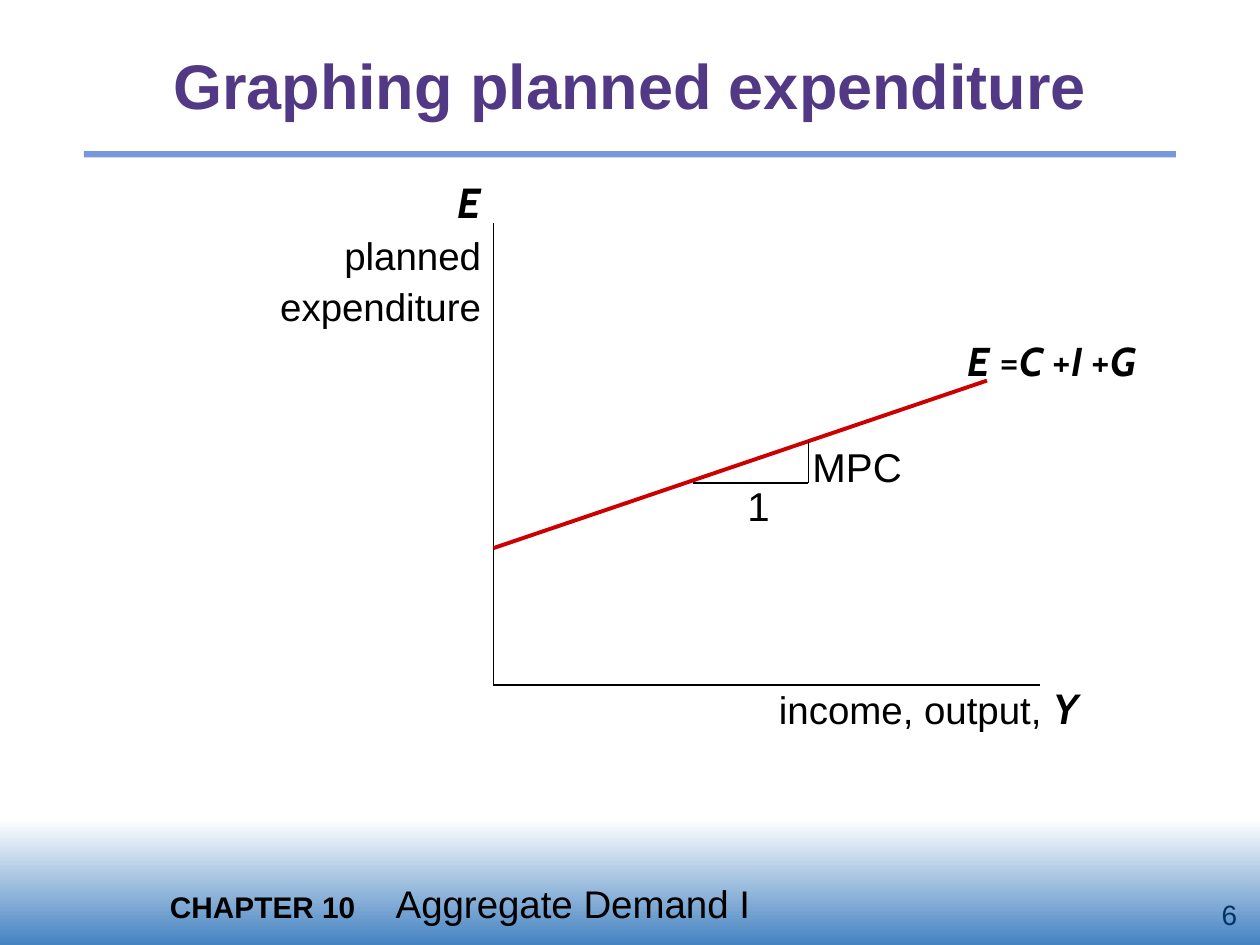
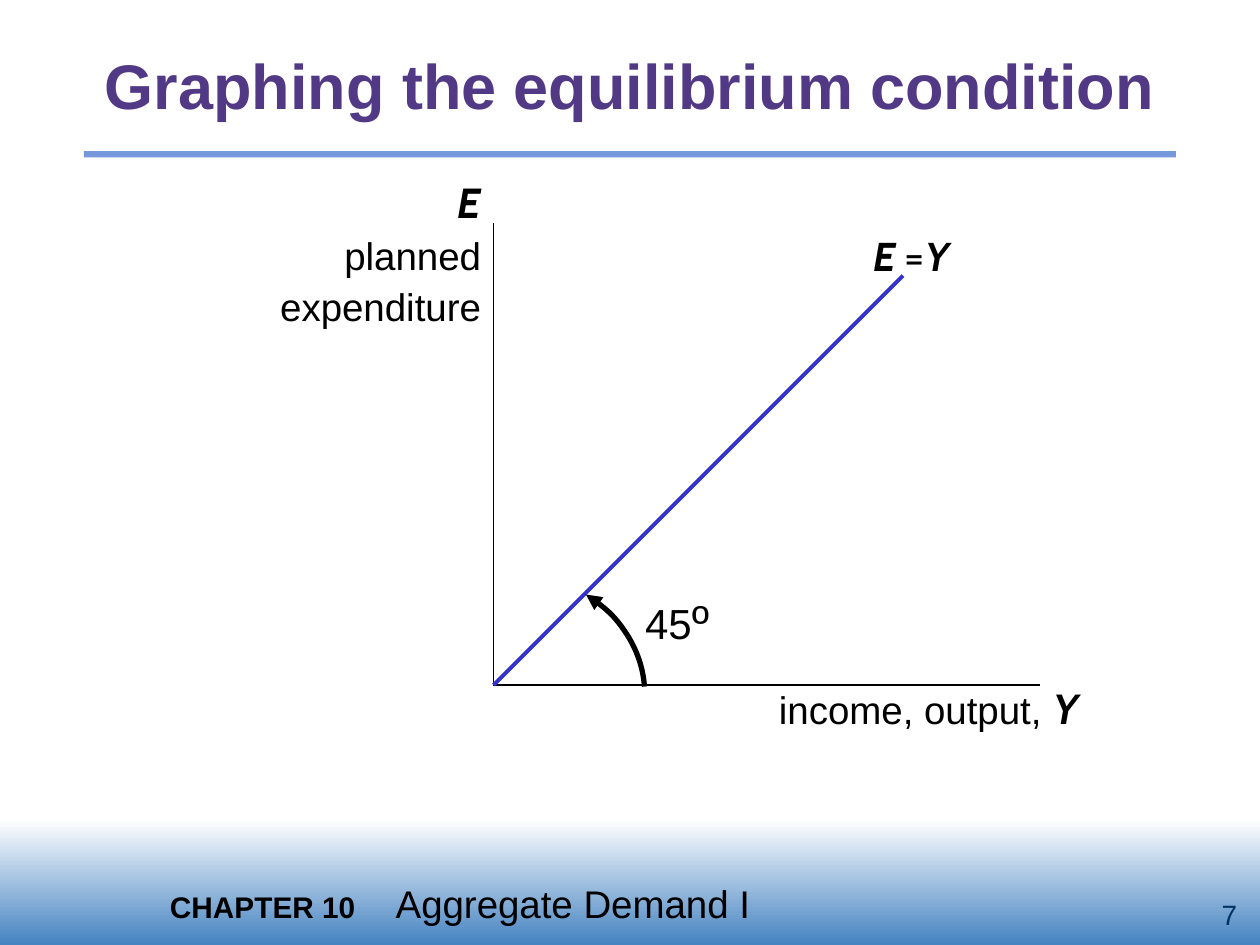
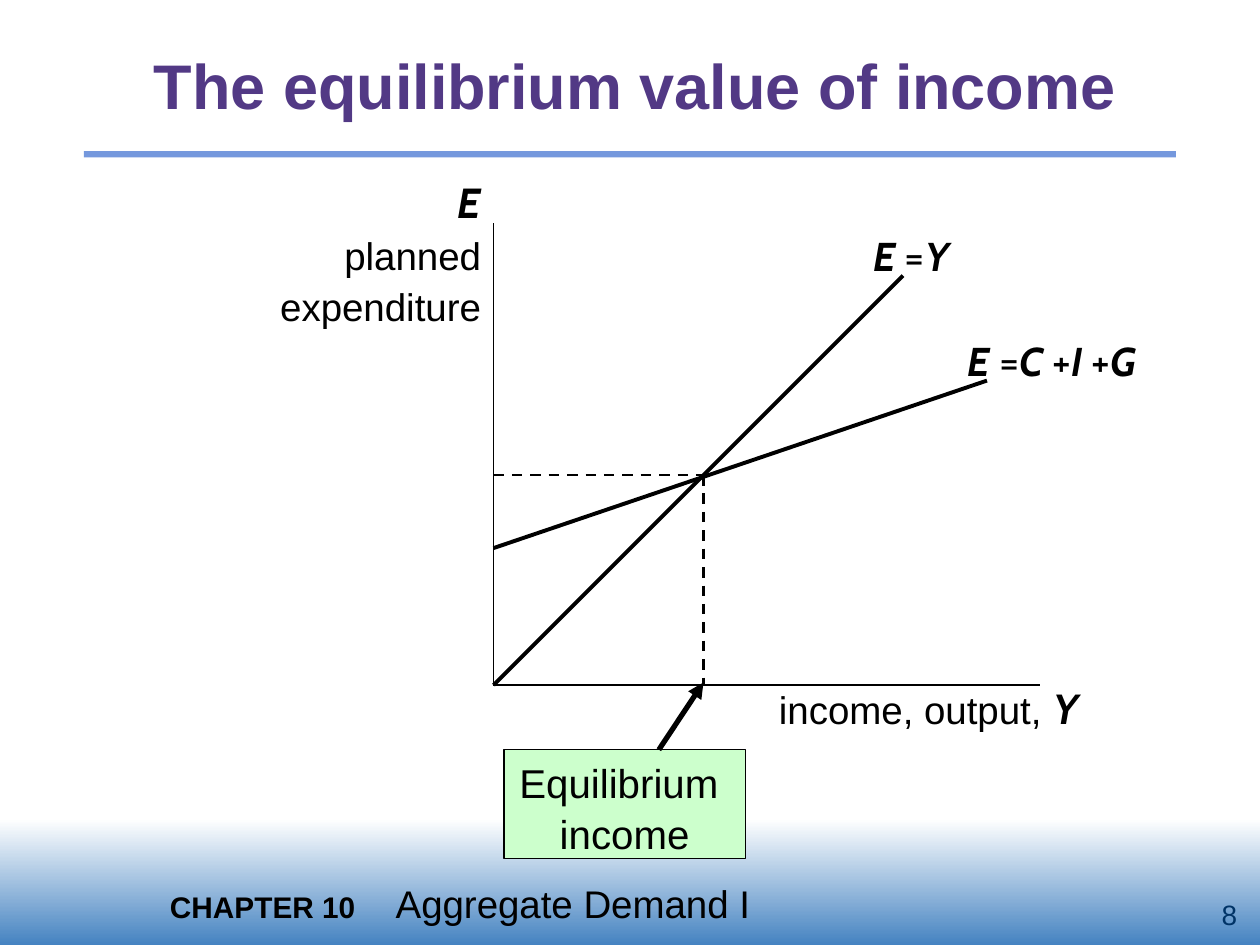
from typing import NamedTuple

from lxml.etree import SubElement
from pptx import Presentation
from pptx.dml.color import RGBColor
from pptx.enum.dml import MSO_LINE
from pptx.enum.shapes import MSO_CONNECTOR, MSO_SHAPE
from pptx.enum.text import MSO_ANCHOR, MSO_AUTO_SIZE, PP_ALIGN
from pptx.oxml.ns import qn
from pptx.util import Inches, Pt

BLACK = RGBColor(0x00, 0x00, 0x00)
WHITE = RGBColor(0xFF, 0xFF, 0xFF)
PURPLE = RGBColor(0x52, 0x39, 0x85)
RULE_BLUE = RGBColor(0x75, 0x98, 0xDD)
BAND_BLUE = RGBColor(0x45, 0x83, 0xC1)
NAVY = RGBColor(0x00, 0x33, 0x66)
RED = RGBColor(0xCC, 0x00, 0x00)
BLUE = RGBColor(0x33, 0x33, 0xCC)
MINT = RGBColor(0xCC, 0xFF, 0xCC)

COLS, ROWS = 120, 90
CELL = Inches(10) / COLS
ORIGIN = (47, 65.25)
EQUILIBRIUM = (67, 45.25)
TITLE_BOX = (5, 3, 110, 11)


class Style(NamedTuple):
    """Character formatting of a piece of text."""
    size: float
    name: str = "Arial"
    bold: bool = False
    italic: bool = False
    color: RGBColor = BLACK


TITLE = Style(36, bold=True, color=PURPLE)
AXIS = Style(22)
AXIS_SYMBOL = Style(24, "Cabin", True, True)
SYMBOL = Style(23, "Cabin", True, True)
OPERATOR = Style(23, "Cabin")
NOTE = Style(23)


def grid(*cells):
    """Convert grid columns or rows to lengths."""
    return [round(c * CELL) for c in cells]


def set_font(font, style):
    """Apply a style to a font."""
    font.size = Pt(style.size)
    font.name = style.name
    font.bold = style.bold
    font.italic = style.italic
    font.color.rgb = style.color


def write(p, pieces, align=PP_ALIGN.LEFT, spacing=1.05):
    """Fill a paragraph with (text, style) pieces."""
    p.alignment = align
    p.line_spacing = spacing
    if len(pieces) == 1:
        p.text, style = pieces[0]
        set_font(p.font, style)
        return
    for text, style in pieces:
        r = p.add_run()
        r.text = text
        set_font(r.font, style)


def add_text(slide, box, *lines, align=PP_ALIGN.LEFT):
    """Add a text box with one paragraph per line."""
    tf = slide.shapes.add_textbox(*grid(*box)).text_frame
    tf.word_wrap = True
    tf.auto_size = MSO_AUTO_SIZE.SHAPE_TO_FIT_TEXT
    for i, pieces in enumerate(lines):
        p = tf.add_paragraph() if i else tf.paragraphs[0]
        write(p, pieces, align)
        if i:
            p.space_before = Pt(1.4)
    return tf


def add_rect(slide, box):
    """Add a rectangle without line or shadow."""
    sp = slide.shapes.add_shape(MSO_SHAPE.RECTANGLE, *grid(*box))
    sp.shadow.inherit = False
    sp.line.fill.background()
    return sp


def add_arrowhead(line, end):
    """Put a triangle on the headEnd or tailEnd of a line."""
    SubElement(line._get_or_add_ln(), qn(f"a:{end}"), type="triangle")


def add_line(slide, start, end, color=BLACK, width=1.0, dash=None, arrow=False):
    """Draw a straight line between two grid points."""
    cxn = slide.shapes.add_connector(MSO_CONNECTOR.STRAIGHT, *grid(*start, *end))
    cxn.line.color.rgb = color
    cxn.line.width = Pt(width)
    if dash:
        cxn.line.dash_style = dash
    if arrow:
        add_arrowhead(cxn.line, "tailEnd")
    SubElement(cxn._element.spPr, qn("a:effectLst"))


def add_equation(slide, box, *terms):
    """Add a curve label with italic symbols and upright operators."""
    add_text(slide, box, [(t, SYMBOL if t.strip().isalpha() else OPERATOR)
                          for t in terms])


def add_footer(slide, number):
    """Add the gradient band, title rule, chapter name and slide number."""
    band = add_rect(slide, (0, 78, COLS, ROWS - 78))
    band.fill.gradient()
    band.fill.gradient_angle = 270
    for stop, color, position in zip(band.fill.gradient_stops,
                                     (WHITE, BAND_BLUE), (0, 1)):
        stop.color.rgb = color
        stop.position = position
    rule = add_rect(slide, (8, 14.4, 104, 0.6))
    rule.fill.solid()
    rule.fill.fore_color.rgb = RULE_BLUE
    tf = add_text(slide, (15, 83, 100, 5.6),
                  [("CHAPTER 10", Style(17, bold=True)),
                   ("\tAggregate Demand I", AXIS)])
    tabs = SubElement(tf.paragraphs[0]._p.get_or_add_pPr(), qn("a:tabLst"))
    SubElement(tabs, qn("a:tab"), pos=str(grid(21.5)[0]), algn="l")
    tf = add_text(slide, (104, 85, 15, 4),
                  [(str(number), Style(16, color=NAVY))], align=PP_ALIGN.RIGHT)
    tf.auto_size = MSO_AUTO_SIZE.NONE
    tf.vertical_anchor = MSO_ANCHOR.MIDDLE


def add_axes(slide):
    """Draw both axes and their names."""
    x, y = ORIGIN
    add_line(slide, (x, 21.25), ORIGIN)
    add_line(slide, ORIGIN, (99, y))
    add_text(slide, (73, 64.2, 34, 6),
             [("income, output,", AXIS), (" ", Style(24)), ("Y", AXIS_SYMBOL)])
    add_text(slide, (23, 16, 24, 15.25), [("E", AXIS_SYMBOL)],
             [("planned", AXIS)], [("expenditure", AXIS)], align=PP_ALIGN.RIGHT)


def add_graph_slide(prs, title, number, title_box=TITLE_BOX):
    """Add a titled slide with footer and axes."""
    slide = prs.slides.add_slide(prs.slide_layouts[5])
    add_footer(slide, number)
    sp = slide.shapes.title
    sp.left, sp.top, sp.width, sp.height = grid(*title_box)
    tf = sp.text_frame
    tf.word_wrap = True
    tf.auto_size = MSO_AUTO_SIZE.NONE
    tf.vertical_anchor = MSO_ANCHOR.MIDDLE
    write(tf.paragraphs[0], [(title, TITLE)], PP_ALIGN.CENTER, 0.9)
    add_axes(slide)
    return slide


def add_expenditure_curve(slide, color=BLACK):
    """Draw the planned expenditure line and its equation."""
    add_equation(slide, (91, 31.2, 27, 5.9), "E", " =", "C ", "+", "I ", "+", "G")
    add_line(slide, (ORIGIN[0], 52.2), (94, 36.25), color, 2.25)


def add_equality_curve(slide, color=BLACK):
    """Draw the 45 degree line and its equation."""
    x, y = ORIGIN
    add_line(slide, ORIGIN, (x + 39, y - 39), color, 2.25)
    add_equation(slide, (82, 21.25, 13, 5.9), "E", " =", "Y")


def add_slope(slide):
    """Draw the slope triangle with its run and rise."""
    corner = (77, 46)
    add_line(slide, (66, 46), corner, width=0.75)
    add_line(slide, corner, (77, 42), width=0.75)
    add_text(slide, (76.2, 41.3, 12, 5.9), [("MPC", NOTE)])
    add_text(slide, (70, 45, 5, 5.9), [("1", NOTE)])


def add_angle(slide):
    """Draw the angle arc with its arrowhead and size."""
    sp = slide.shapes.add_shape(MSO_SHAPE.ARC, *grid(34.6, 54.45, 26.8, 23.3))
    for i, degrees in enumerate((309.5, 357)):
        sp.adjustments[i] = degrees * 0.6
    sp.shadow.inherit = False
    sp.fill.background()
    sp.line.color.rgb = BLACK
    sp.line.width = Pt(3)
    add_arrowhead(sp.line, "headEnd")
    add_text(slide, (60.25, 55.5, 9, 6.6), [("45", Style(24)), ("º", Style(27))])


def add_equilibrium(slide):
    """Mark the equilibrium with guides and a callout."""
    x, y = EQUILIBRIUM
    add_line(slide, EQUILIBRIUM, (x, ORIGIN[1]), width=1.5, dash=MSO_LINE.DASH)
    add_line(slide, (ORIGIN[0], y), EQUILIBRIUM, width=1.5, dash=MSO_LINE.DASH)
    sp = add_rect(slide, (48, 71.4, 23, 10.4))
    sp.fill.solid()
    sp.fill.fore_color.rgb = MINT
    sp.line.color.rgb = BLACK
    sp.line.width = Pt(0.75)
    tf = sp.text_frame
    tf.word_wrap = True
    tf.vertical_anchor = MSO_ANCHOR.TOP
    write(tf.paragraphs[0], [("Equilibrium \vincome", NOTE)], PP_ALIGN.CENTER)
    add_line(slide, (62.75, 71.4), (x, 65), width=3, arrow=True)


def main():
    """Build the three slides."""
    prs = Presentation()
    prs.slide_width, prs.slide_height = grid(COLS, ROWS)

    s = add_graph_slide(prs, "Graphing planned expenditure", 6)
    add_expenditure_curve(s, RED)
    add_slope(s)

    s = add_graph_slide(prs, "Graphing the equilibrium condition", 7)
    add_equality_curve(s, BLUE)
    add_angle(s)

    s = add_graph_slide(prs, "The equilibrium value of income", 8, (4, 3, 113, 11))
    add_equality_curve(s)
    add_expenditure_curve(s)
    add_equilibrium(s)

    prs.save("out.pptx")


if __name__ == "__main__":
    main()
